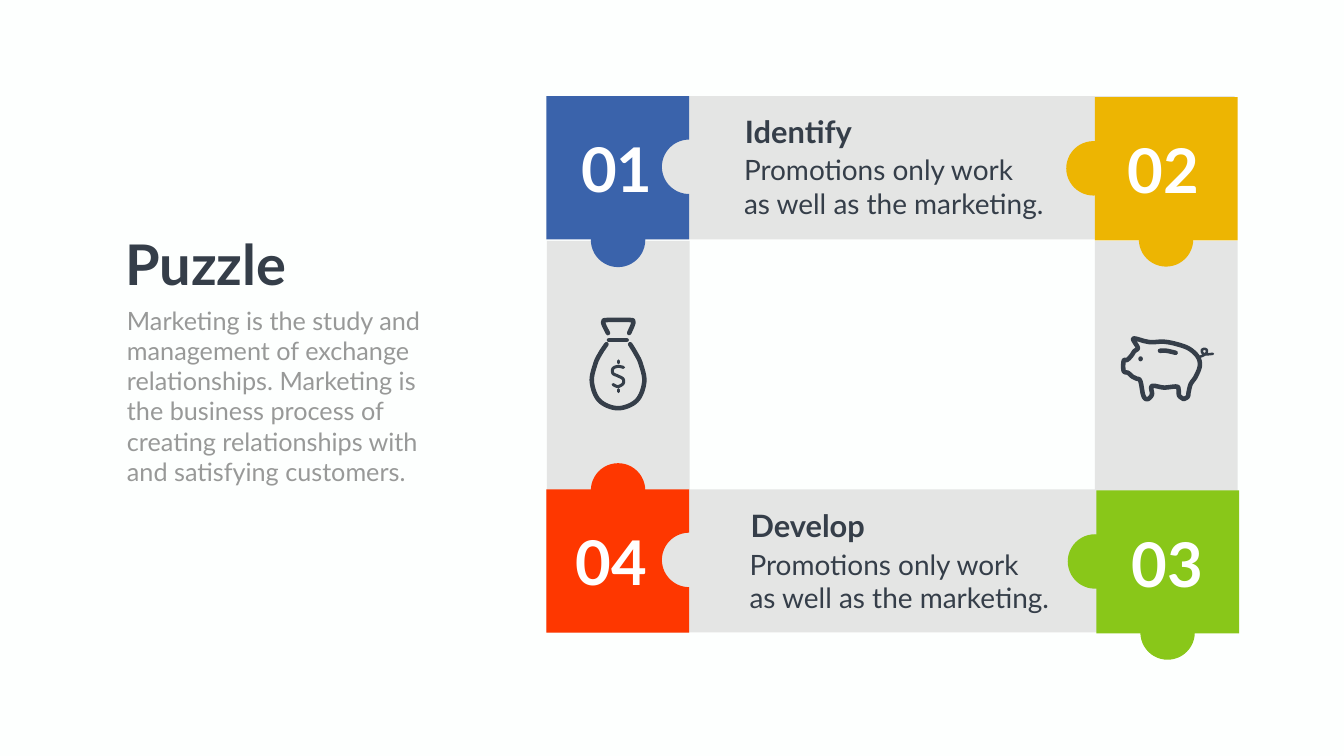
"""Build the puzzle frame slide with four numbered corner pieces."""
import math
from dataclasses import dataclass

import pptx
import pptx.dml.color
import pptx.enum.shapes
import pptx.enum.text
import pptx.util

PX = 9144
ALIGN = pptx.enum.text.PP_ALIGN
OVAL = pptx.enum.shapes.MSO_SHAPE.OVAL
RECT = pptx.enum.shapes.MSO_SHAPE.RECTANGLE
SIDE, KNOB = 284, 54


@dataclass(frozen=True)
class Theme:
    """Hold the colours, the font and the type sizes."""
    font: str = "Lato"
    back: str = "FDFFFE"
    band: str = "E4E5E4"
    ink: str = "353E49"
    soft: str = "989998"
    white: str = "FFFFFF"
    blue: str = "3A63AB"
    gold: str = "EDB502"
    green: str = "89C719"
    red: str = "FE3700"
    title: int = 80
    num: int = 88
    head: int = 44
    body: int = 40
    note: int = 36


THEME = Theme()


def rgb(code):
    """Turn a hex code into a colour."""
    return pptx.dml.color.RGBColor.from_string(code)


def paint(shape, fill):
    """Give a shape a flat fill without line or shadow."""
    shape.shadow.inherit = False
    shape.fill.solid()
    shape.fill.fore_color.rgb = rgb(fill)
    shape.line.fill.background()


def block(slide, kind, left, top, wide, high, fill):
    """Add a flat preset shape."""
    paint(slide.shapes.add_shape(kind, left * PX, top * PX, wide * PX, high * PX), fill)


def knob(slide, x, y, fill):
    """Add a round puzzle tab around a centre."""
    block(slide, OVAL, x - KNOB, y - KNOB, 2 * KNOB, 2 * KNOB, fill)


def outline(slide, points, close):
    """Draw a freeform through points given in px."""
    dots = [(round(x * PX), round(y * PX)) for x, y in points]
    form = slide.shapes.build_freeform(*dots[0], scale=1.0)
    form.add_line_segments(dots[1:], close=close)
    return form.convert_to_shape()


def socket(slide, left, top, fill):
    """Add a square piece with a round socket in its right side."""
    right, low, mid = left + SIDE - 1, top + SIDE, top + SIDE / 2 - 2
    turns = [math.radians(90 + 5 * step) for step in range(37)]
    arc = [(right + KNOB * math.cos(t), mid + KNOB * math.sin(t)) for t in turns]
    points = [(right, top), (left, top), (left, low), (right, low), *arc]
    paint(outline(slide, points, True), fill)


def smooth(points, steps=8):
    """Sample a Catmull-Rom curve through the points."""
    ends = [points[0], *points, points[-1]]
    curve = [points[0]]
    for a, b, c, d in zip(ends, ends[1:], ends[2:], ends[3:]):
        for step in range(1, steps + 1):
            t = step / steps
            curve.append(tuple(
                (2 * q + (r - p) * t + (2 * p - 5 * q + 4 * r - s) * t ** 2
                 + (3 * q - p - 3 * r + s) * t ** 3) / 2
                for p, q, r, s in zip(a, b, c, d)))
    return curve


def trace(slide, points, width=9):
    """Draw a round-ended curved stroke."""
    shape = outline(slide, smooth(points), False)
    shape.shadow.inherit = False
    shape.fill.background()
    shape.line.width = width * PX
    shape.line.color.rgb = rgb(THEME.ink)
    shape.line._get_or_add_ln().set("cap", "rnd")


def write(shape, lines, size, color, bold=False, align=ALIGN.LEFT, wrap=True):
    """Fill a shape with one run per paragraph."""
    frame = shape.text_frame
    frame.word_wrap = wrap
    frame.auto_size = pptx.enum.text.MSO_AUTO_SIZE.NONE
    frame.vertical_anchor = pptx.enum.text.MSO_ANCHOR.TOP
    for order, line in enumerate(lines):
        para = frame.add_paragraph() if order else frame.paragraphs[0]
        para.alignment = align
        run = para.add_run()
        run.text = line
        run.font.name = THEME.font
        run.font.size = pptx.util.Pt(size)
        run.font.bold = bold
        run.font.color.rgb = rgb(color)


def label(slide, left, top, wide, high, *text, **style):
    """Add a text box."""
    box = slide.shapes.add_textbox(left * PX, top * PX, wide * PX, high * PX)
    write(box, *text, **style)


def title(slide, text):
    """Place and format the title."""
    shape = slide.shapes.title
    shape.left, shape.top = 238 * PX, 451 * PX
    shape.width, shape.height = 360 * PX, 145 * PX
    write(shape, [text], THEME.title, THEME.ink, bold=True)


def topic(slide, left, top, head):
    """Add a heading with its two lines of text."""
    label(slide, left + 2, top, 384, 84, [head], THEME.head, THEME.ink, bold=True)
    label(slide, left, top + 80, 682, 145,
          ["Promotions only work", "as well as the marketing."], THEME.body, THEME.ink)


def bag(slide):
    """Draw the money bag."""
    trace(slide, [(1203, 683), (1191, 701), (1181, 722), (1174, 758), (1189, 795), (1226, 810),
                  (1263, 795), (1278, 758), (1271, 722), (1261, 701), (1250, 683)])
    trace(slide, [(1206, 661), (1198, 645), (1197, 638), (1204, 635),
                  (1250, 635), (1256, 638), (1255, 645), (1248, 661)])
    trace(slide, [(1208, 675), (1243, 675)])
    trace(slide, [(1237, 729), (1226, 727), (1216, 731), (1216, 741), (1226, 746),
                  (1236, 752), (1236, 761), (1226, 767), (1216, 763)], 6)
    for top in (716, 773):
        trace(slide, [(1227, top), (1227, top + 4)], 6)


def pig(slide):
    """Draw the piggy bank."""
    trace(slide, [(2348, 792), (2339, 785), (2338, 774), (2334, 767), (2309, 769), (2285, 766),
                  (2285, 783), (2276, 792), (2268, 785), (2262, 756), (2254, 751), (2246, 747),
                  (2238, 740), (2229, 736), (2229, 716), (2236, 714), (2244, 706), (2250, 697),
                  (2257, 690), (2248, 672), (2271, 677), (2285, 679), (2309, 678), (2335, 683),
                  (2359, 692), (2376, 708), (2380, 726), (2372, 747), (2362, 762), (2358, 777),
                  (2356, 787), (2348, 792)])
    trace(slide, [(2375, 710), (2385, 706), (2392, 702), (2394, 695), (2389, 692),
                  (2384, 695), (2386, 701), (2394, 703), (2406, 702)], 5)
    trace(slide, [(2301, 696), (2314, 696), (2332, 700)])
    block(slide, OVAL, 2258, 707, 9, 10, THEME.ink)


def main():
    """Build and save the slide."""
    deck = pptx.Presentation()
    deck.slide_width, deck.slide_height = 2666 * PX, 1500 * PX
    slide = deck.slides.add_slide(deck.slide_layouts[5])
    slide.background.fill.solid()
    slide.background.fill.fore_color.rgb = rgb(THEME.back)

    for left, top, wide, high in ((1085, 478, 283, 508), (1084, 971, 1169, 284),
                                  (2172, 478, 283, 508), (1280, 191, 1169, 284)):
        block(slide, RECT, left, top, wide, high, THEME.band)
    for top, edge, fill in ((191, 476, THEME.blue), (971, 973, THEME.red)):
        socket(slide, 1084, top, fill)
        knob(slide, 1226, edge, fill)
    for left, top, fill in ((2172, 193, THEME.gold), (2175, 973, THEME.green)):
        block(slide, RECT, left, top, SIDE - 1, SIDE, fill)
        knob(slide, left - 3, top + 141, fill)
        knob(slide, left + 141, top + 282, fill)
    bag(slide)
    pig(slide)

    topic(slide, 1466, 218, "Identify")
    topic(slide, 1477, 1001, "Develop")
    spots = ((1142, 254), (2226, 257), (2234, 1039), (1131, 1034))
    for order, (left, top) in enumerate(spots, 1):
        label(slide, left, top, 163, 158, [f"{order:02}"], THEME.num, THEME.white,
              bold=True, align=ALIGN.CENTER, wrap=False)
    title(slide, "Puzzle")
    label(slide, 242, 600, 645, 374,
          ["Marketing is the study and management of exchange relationships. "
           "Marketing is the business process of creating relationships with "
           "and satisfying customers."], THEME.note, THEME.soft)
    deck.save("out.pptx")


if __name__ == "__main__":
    main()
